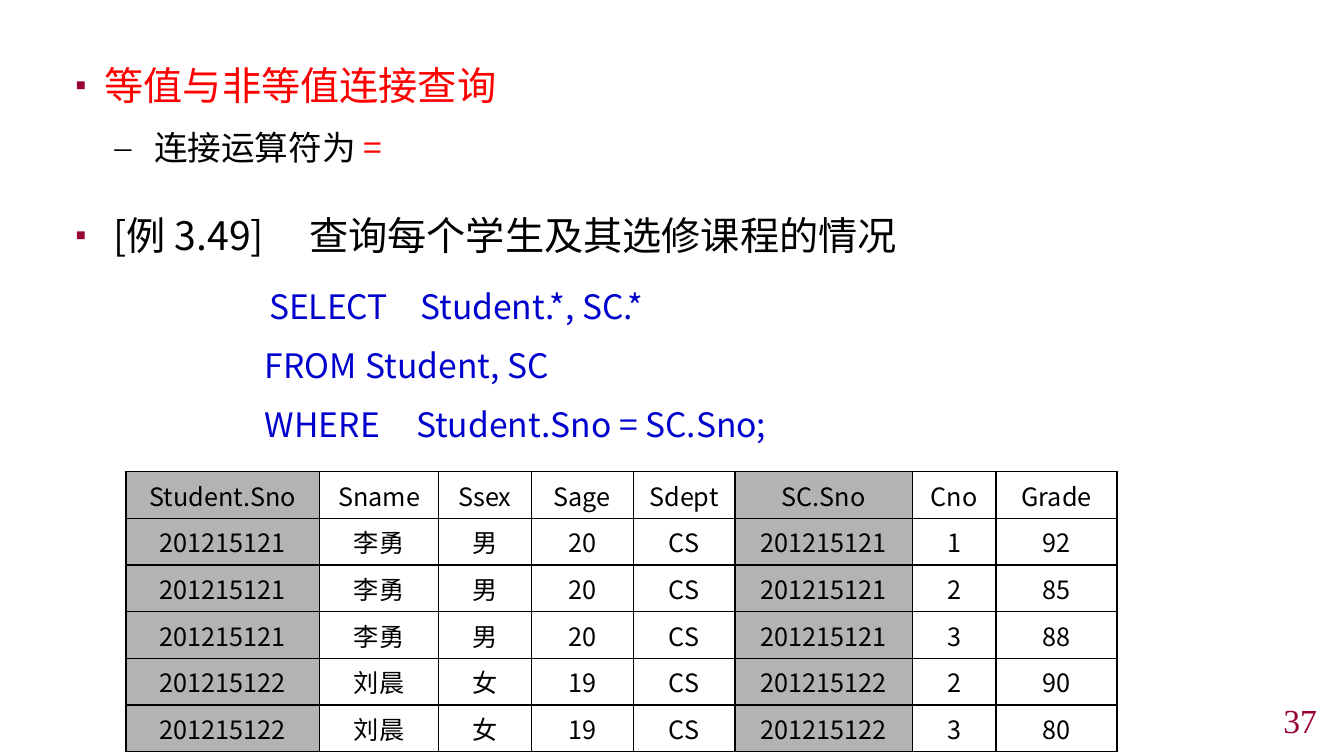
from lxml import etree
from pptx import Presentation
from pptx.dml.color import RGBColor
from pptx.enum.text import MSO_ANCHOR, PP_ALIGN
from pptx.oxml.ns import qn
from pptx.util import Inches, Pt

COLORS = {"red": "FF0000", "black": "000000", "blue": "0000CC",
          "maroon": "990033", "gray": "B3B3B3"}
SANS = "Noto Sans CJK SC"
SERIF = "Times New Roman"


def set_font(para, size, color, name=SANS):
    """Set size, colour and both the Latin and East Asian typeface."""
    font = para.font
    font.size = Pt(size)
    font.name = name
    font.color.rgb = RGBColor.from_string(COLORS[color])
    latin = font._element.find(qn("a:latin"))
    east_asian = etree.Element(qn("a:ea"), typeface=name)
    latin.addnext(east_asian)


def set_layout(para, margin, hanging, bullet=None, bullet_color=None, tab=None):
    """Add indents, an optional bullet and an optional tab stop."""
    props = para._p.get_or_add_pPr()
    props.set("marL", str(Inches(margin)))
    props.set("indent", str(-Inches(hanging)))
    if bullet_color:
        color = etree.SubElement(props, qn("a:buClr"))
        etree.SubElement(color, qn("a:srgbClr"), val=COLORS[bullet_color])
        etree.SubElement(props, qn("a:buSzPct"), val="80000")
    if bullet:
        etree.SubElement(props, qn("a:buFont"), typeface=SERIF)
        etree.SubElement(props, qn("a:buChar"), char=bullet)
    if tab:
        stops = etree.SubElement(props, qn("a:tabLst"))
        etree.SubElement(stops, qn("a:tab"), pos=str(Inches(tab)), algn="l")


deck = Presentation()
deck.slide_width, deck.slide_height = Inches(13.33), Inches(7.5)
page = deck.slides.add_slide(deck.slide_layouts[6])

# Body: text, size, colour, space before, (margin, hanging, bullet, bullet colour, tab)
lines = [
    ("等值与非等值连接查询", 28, "red", 0, (0.29, 0.29, "▪", "maroon")),
    ("连接运算符为 ", 24, "black", 4.8, (0.78, 0.39, "–")),
    ("[例 3.49]\t查询每个学生及其选修课程的情况", 28, "black", 21,
     (0.38, 0.38, "▪", "maroon", 2.32)),
    ("SELECT\tStudent.*, SC.*", 24, "blue", 11, (1.92, 0, None, None, 1.29)),
    ("FROM\tStudent, SC", 24, "blue", 4.8, (1.88, 0, None, None, 1.25)),
    ("WHERE\tStudent.Sno = SC.Sno;", 24, "blue", 4.8, (1.88, 0, None, None, 1.25)),
]
body = page.shapes.add_textbox(Inches(0.65), Inches(0.42), Inches(12.04), Inches(6.73))
frame = body.text_frame
frame.word_wrap = True
for index, (text, size, color, before, layout) in enumerate(lines):
    para = frame.add_paragraph() if index else frame.paragraphs[0]
    para.add_run().text = text
    para.line_spacing = 1.3
    para.space_before = Pt(before)
    set_layout(para, *layout)
    set_font(para, size, color)
equals = frame.paragraphs[1].add_run()
equals.text = "="
equals.font.color.rgb = RGBColor.from_string(COLORS["red"])

# Page number
number = page.shapes.add_textbox(Inches(10.33), Inches(6.99), Inches(2.83), Inches(0.31))
number.text_frame.word_wrap = True
number.text_frame.vertical_anchor = MSO_ANCHOR.MIDDLE
para = number.text_frame.paragraphs[0]
para.add_run().text = "37"
para.alignment = PP_ALIGN.RIGHT
set_font(para, 24, "maroon", SERIF)

# Join result
li_yong = ("201215121", "李勇", "男", "20", "CS", "201215121")
liu_chen = ("201215122", "刘晨", "女", "19", "CS", "201215122")
rows = [
    ("Student.Sno", "Sname", "Ssex", "Sage", "Sdept", "SC.Sno", "Cno", "Grade"),
    (*li_yong, "1", "92"),
    (*li_yong, "2", "85"),
    (*li_yong, "3", "88"),
    (*liu_chen, "2", "90"),
    (*liu_chen, "3", "80"),
]
widths = [1.92, 1.18, 0.92, 1.01, 1.01, 1.76, 0.83, 1.2]
KEY_COLUMNS = (0, 5)
table = page.shapes.add_table(len(rows), len(widths), Inches(1.25), Inches(4.68),
                              Inches(sum(widths)), Inches(2.78)).table
for column, width in zip(table.columns, widths):
    column.width = Inches(width)
for r, row in enumerate(rows):
    for c, text in enumerate(row):
        cell = table.cell(r, c)
        cell.margin_left = cell.margin_right = Inches(0.13)
        props = cell._tc.get_or_add_tcPr()
        for side in ("lnL", "lnR", "lnT", "lnB"):
            border = etree.SubElement(props, qn(f"a:{side}"), w=str(Pt(1)))
            fill = etree.SubElement(border, qn("a:solidFill"))
            etree.SubElement(fill, qn("a:srgbClr"), val=COLORS["black"])
        if c in KEY_COLUMNS:
            cell.fill.solid()
            cell.fill.fore_color.rgb = RGBColor.from_string(COLORS["gray"])
        else:
            cell.fill.background()
        para = cell.text_frame.paragraphs[0]
        para.add_run().text = text
        para.alignment = PP_ALIGN.CENTER
        set_font(para, 18, "black")

deck.save("out.pptx")
